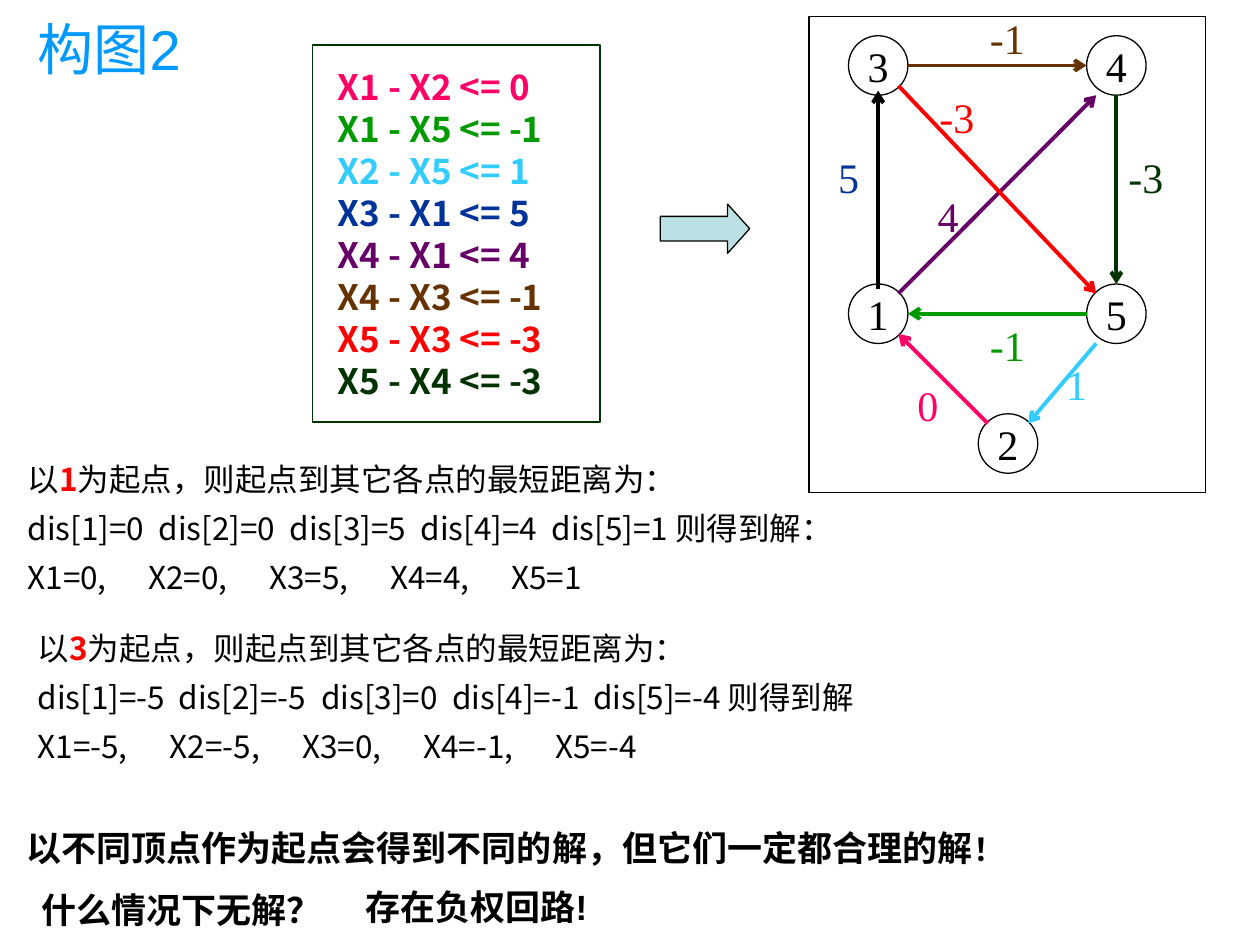
from collections import namedtuple

from pptx import Presentation
from pptx.dml.color import RGBColor
from pptx.enum.shapes import MSO_CONNECTOR, MSO_SHAPE
from pptx.enum.text import MSO_ANCHOR, PP_ALIGN
from pptx.oxml.ns import qn
from pptx.util import Inches, Pt
from lxml.etree import SubElement

BLACK = RGBColor(0x00, 0x00, 0x00)
WHITE = RGBColor(0xFF, 0xFF, 0xFF)
TITLE_BLUE = RGBColor(0x00, 0x99, 0xFF)
PINK = RGBColor(0xFF, 0x00, 0x66)
GREEN = RGBColor(0x00, 0x99, 0x00)
SKY = RGBColor(0x33, 0xCC, 0xFF)
NAVY = RGBColor(0x00, 0x33, 0x99)
PURPLE = RGBColor(0x66, 0x00, 0x66)
BROWN = RGBColor(0x66, 0x33, 0x00)
RED = RGBColor(0xFF, 0x00, 0x00)
DARK_GREEN = RGBColor(0x00, 0x33, 0x00)
PALE_TEAL = RGBColor(0xBB, 0xE0, 0xE3)

SANS, SERIF, CJK = "Arial", "Times New Roman", "Noto Sans CJK SC"
COLUMNS, ROWS = 100, 75

# Graph: node centres in grid cells, and where an edge may touch a node
RADIUS = 2.36
LEFT, RIGHT, TOP, MIDDLE = 69.7, 88.6, 5.2, 24.9
NODES = {1: (LEFT, MIDDLE), 2: (80, 35.2), 3: (LEFT, TOP),
         4: (RIGHT, TOP), 5: (RIGHT, MIDDLE)}
PORTS = {"N": (0, -RADIUS), "S": (0, RADIUS), "W": (-RADIUS, 0), "E": (RADIUS, 0),
         "NE": (1.6, -1.6), "NW": (-1.6, -1.6), "SE": (1.6, 1.6),
         "SSW": (-1.6, RADIUS), "N inside": (0, -2), "S inside": (0, 2)}

# Xhead - Xtail <= weight is an edge from tail to head
Edge = namedtuple("Edge", "head tail weight text_color color leave arrive label")
EDGES = [
    Edge(1, 2, 0, PINK, PINK, "NW", "SE", (70.5, 29.6)),
    Edge(1, 5, -1, GREEN, GREEN, "W", "E", (76.8, 24.9)),
    Edge(2, 5, 1, SKY, SKY, "SSW", "NE", (82.3, 28)),
    Edge(3, 1, 5, NAVY, BLACK, "N inside", "S inside", (64.2, 11.5)),
    Edge(4, 1, 4, PURPLE, PURPLE, "NE", "SSW", (72.1, 14.6)),
    Edge(4, 3, -1, BROWN, BROWN, "E", "W", (76.8, 0.5)),
    Edge(5, 3, -3, RED, RED, "SE", "NW", (72.8, 6.8)),
    Edge(5, 4, -3, DARK_GREEN, DARK_GREEN, "S", "N", (87.8, 11.5)),
]


class Board:
    def __init__(self, prs):
        self.slide = prs.slides.add_slide(prs.slide_layouts[6])
        self.column = prs.slide_width / COLUMNS
        self.row = prs.slide_height / ROWS

    def place(self, x, y):
        return round(x * self.column), round(y * self.row)

    def shape(self, kind, x, y, w, h, fill=None, line=BLACK, width=0.75):
        shape = self.slide.shapes.add_shape(kind, *self.place(x, y), *self.place(w, h))
        shape.shadow.inherit = False
        if fill is None:
            shape.fill.background()
        else:
            shape.fill.solid()
            shape.fill.fore_color.rgb = fill
        shape.line.color.rgb = line
        shape.line.width = Pt(width)
        return shape

    def textbox(self, x, y, w, h):
        box = self.slide.shapes.add_textbox(*self.place(x, y), *self.place(w, h))
        box.text_frame.word_wrap = True
        return box.text_frame

    def fill_paragraph(self, paragraph, runs, size, font, color=BLACK, bold=False,
                       align=PP_ALIGN.LEFT, spacing=None, stops=()):
        """Fill a paragraph; runs are (text, accent colour or None) pairs."""
        paragraph.alignment = align
        if spacing:
            paragraph.line_spacing = spacing
        properties = paragraph._p.get_or_add_pPr()
        if stops:
            tabs = SubElement(properties, qn("a:tabLst"))
            for stop in stops:
                SubElement(tabs, qn("a:tab"), pos=str(Inches(stop)), algn="l")
        paragraph.font.size = Pt(size)
        paragraph.font.bold = bold
        paragraph.font.color.rgb = color
        paragraph.font.name = font
        SubElement(properties.find(qn("a:defRPr")), qn("a:ea"), typeface=CJK)
        for text, accent in runs:
            run = paragraph.add_run()
            run.text = text
            if accent:
                run.font.bold = True
                run.font.color.rgb = accent

    def label(self, text, x, y, w, h, size, font, **style):
        frame = self.textbox(x, y, w, h)
        self.fill_paragraph(frame.paragraphs[0], [(text, None)], size, font, **style)
        return frame

    def node(self, name, center):
        x, y = center
        frame = self.shape(MSO_SHAPE.OVAL, x - RADIUS, y - RADIUS,
                           2 * RADIUS, 2 * RADIUS).text_frame
        frame.word_wrap = False
        frame.vertical_anchor = MSO_ANCHOR.MIDDLE
        self.fill_paragraph(frame.paragraphs[0], [(str(name), None)], 24, SERIF,
                            align=PP_ALIGN.CENTER)

    def edge(self, edge):
        ends = [(NODES[node][0] + PORTS[port][0], NODES[node][1] + PORTS[port][1])
                for node, port in ((edge.tail, edge.leave), (edge.head, edge.arrive))]
        arrow = self.slide.shapes.add_connector(
            MSO_CONNECTOR.STRAIGHT, *self.place(*ends[0]), *self.place(*ends[1]))
        arrow.line.color.rgb = edge.color
        arrow.line.width = Pt(2.25)
        SubElement(arrow.line._get_or_add_ln(), qn("a:tailEnd"), type="arrow")
        SubElement(arrow._element.spPr, qn("a:effectLst"))
        self.label(str(edge.weight), *edge.label, 6.3, 5, 24, SERIF,
                   color=edge.text_color, align=PP_ALIGN.CENTER)

    def solution(self, x, y, start, rows):
        """Distances from one start node; rows are (cells, tab stops)."""
        frame = self.textbox(x, y, 73.2, 13.4)
        self.fill_paragraph(frame.paragraphs[0],
                            [("以", None), (start, RED),
                             ("为起点，则起点到其它各点的最短距离为：", None)],
                            18, CJK, spacing=1.3)
        for cells, stops in rows:
            self.fill_paragraph(frame.add_paragraph(), [("\t".join(cells), None)],
                                18, CJK, spacing=1.3, stops=stops)


def main():
    prs = Presentation()
    prs.slide_width, prs.slide_height = Inches(10), Inches(7.5)
    board = Board(prs)

    # Title
    title = board.label("构图2", 2, 0.5, 60, 6.7, 32, SANS, color=TITLE_BLUE)
    title.vertical_anchor = MSO_ANCHOR.MIDDLE

    # Constraints
    constraints = board.shape(MSO_SHAPE.RECTANGLE, 24.8, 3.6, 22.8, 29.9,
                              WHITE, DARK_GREEN, 1).text_frame
    constraints.word_wrap = True
    constraints.vertical_anchor = MSO_ANCHOR.MIDDLE
    constraints.margin_left = constraints.margin_right = Inches(0.2)
    for i, edge in enumerate(EDGES):
        paragraph = constraints.add_paragraph() if i else constraints.paragraphs[0]
        inequality = f"X{edge.head} - X{edge.tail} <= {edge.weight}"
        board.fill_paragraph(paragraph, [(inequality, None)], 20, CJK,
                             color=edge.text_color, bold=True)

    # Arrow from constraints to graph
    step = board.shape(MSO_SHAPE.RIGHT_ARROW, 52.4, 16.2, 7.1, 3.9, PALE_TEAL)
    step.adjustments[1] = 0.45

    # Graph
    board.shape(MSO_SHAPE.RECTANGLE, 64.2, 1.3, 31.5, 37.8, WHITE)
    for name, center in NODES.items():
        board.node(name, center)
    for edge in EDGES:
        board.edge(edge)

    # Solutions from two start nodes
    board.solution(1.2, 35.1, "1", [
        (["dis[1]=0", "dis[2]=0", "dis[3]=5", "dis[4]=4", "dis[5]=1 则得到解："],
         [1.04 * i for i in range(1, 5)]),
        (["X1=0,", "X2=0,", "X3=5,", "X4=4,", "X5=1"],
         [0.96 * i for i in range(1, 5)]),
    ])
    board.solution(2, 48.5, "3", [
        (["dis[1]=-5", "dis[2]=-5", "dis[3]=0", "dis[4]=-1", "dis[5]=-4 则得到解"],
         [1.12, 2.25, 3.29, 4.41]),
        (["X1=-5,", "X2=-5,", "X3=0,", "X4=-1,", "X5=-4"],
         [1.05, 2.1, 3.06, 4.11]),
    ])

    # Conclusions
    conclusion = board.label("以不同顶点作为起点会得到不同的解，但它们一定都合理的解",
                             1.1, 65.1, 82, 4.4, 20, SANS, bold=True)
    mark = conclusion.paragraphs[0].add_run()
    mark.text = "！"
    mark.font.size = Pt(18)
    board.label("什么情况下无解？", 2.3, 70, 25.7, 4.4, 20, SANS, bold=True)
    board.label("存在负权回路!", 28, 69.8, 25.7, 4.4, 20, SANS, bold=True)

    prs.save("out.pptx")


if __name__ == "__main__":
    main()
